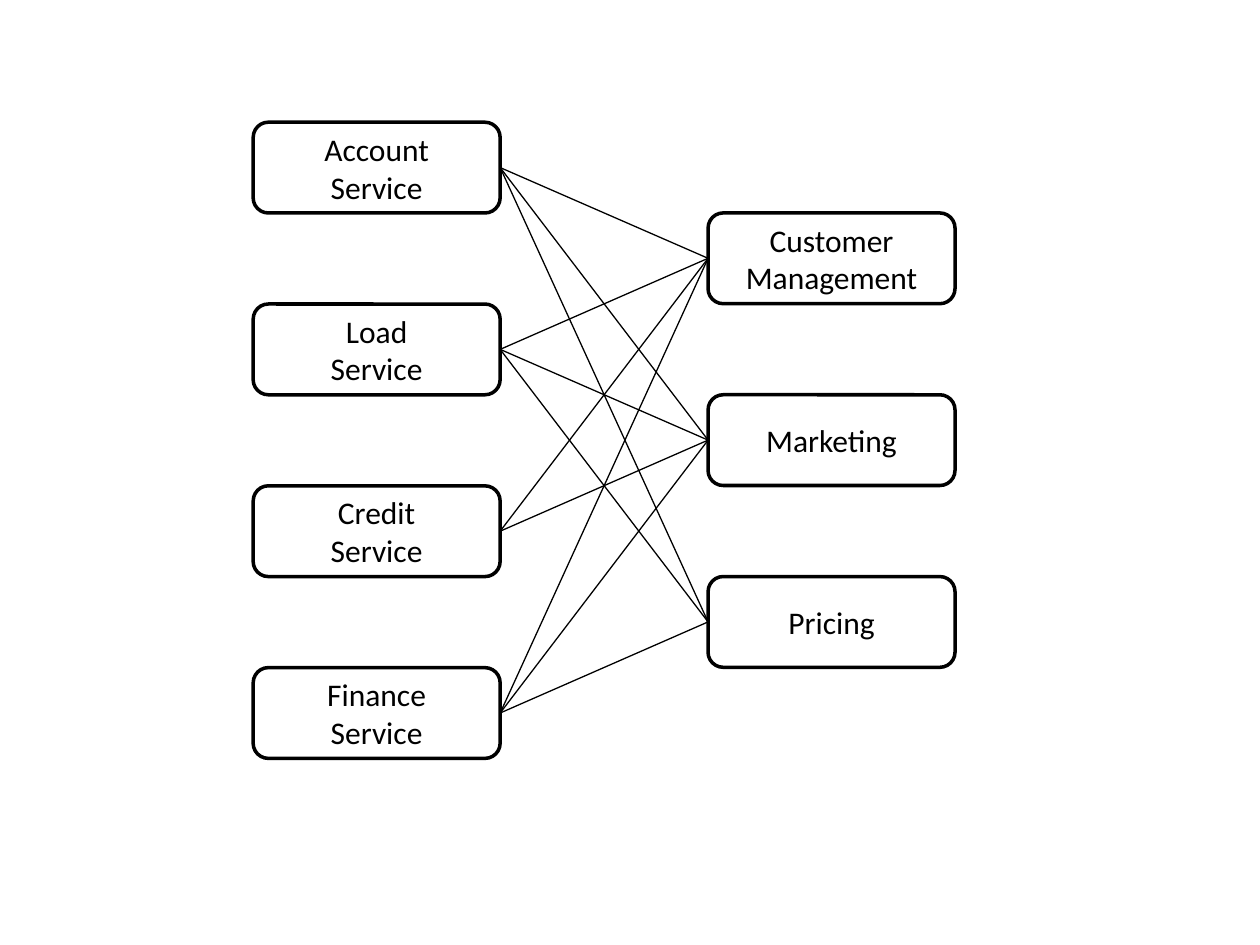
from dataclasses import dataclass

import pptx
import pptx.dml.color
import pptx.enum.shapes
import pptx.enum.text
import pptx.oxml.ns
import pptx.util
from lxml import etree
from pptx.util import Inches

BLACK = pptx.dml.color.RGBColor(0x00, 0x00, 0x00)
WHITE = pptx.dml.color.RGBColor(0xFF, 0xFF, 0xFF)

BOX_WIDTH, BOX_HEIGHT = 1.96, 0.72
ROW_PITCH = 1.443
RIGHT_SIDE, LEFT_SIDE = 3, 1  # connection sites of a box


@dataclass(frozen=True)
class Column:
    left: float
    top: float
    labels: tuple[str, ...]


SERVICES = Column(2.01, 0.97, ("Account\nService", "Load\nService",
                               "Credit\nService", "Finance\nService"))
CONSUMERS = Column(5.62, 1.69, ("Customer\nManagement", "Marketing", "Pricing"))

# For each service, the rows of the consumers it is linked to
LINKS = ((0, 1, 2), (0, 1, 2), (0, 1), (0, 1, 2))


def add_box(slide, left: float, top: float, label: str):
    """Draw one rounded box; each line of the label is a paragraph."""
    box = slide.shapes.add_shape(
        pptx.enum.shapes.MSO_SHAPE.ROUNDED_RECTANGLE,
        Inches(left), Inches(top), Inches(BOX_WIDTH), Inches(BOX_HEIGHT))
    box.shadow.inherit = False
    box.fill.solid()
    box.fill.fore_color.rgb = WHITE
    box.line.color.rgb = BLACK
    box.line.width = pptx.util.Pt(2)
    frame = box.text_frame
    frame.text = label
    frame.vertical_anchor = pptx.enum.text.MSO_ANCHOR.MIDDLE
    for para in frame.paragraphs:
        para.alignment = pptx.enum.text.PP_ALIGN.CENTER
        para.font.name = "Calibri"
        para.font.size = pptx.util.Pt(18)
        para.font.color.rgb = BLACK
    return box


def add_column(slide, column: Column) -> list:
    return [add_box(slide, column.left, column.top + row * ROW_PITCH, label)
            for row, label in enumerate(column.labels)]


def add_link(slide, service, consumer) -> None:
    """Join the right side of a service to the left side of a consumer."""
    link = slide.shapes.add_connector(
        pptx.enum.shapes.MSO_CONNECTOR.STRAIGHT, 0, 0, 0, 0)
    link.begin_connect(service, RIGHT_SIDE)
    link.end_connect(consumer, LEFT_SIDE)
    link.line.color.rgb = BLACK
    link.line.width = pptx.util.Pt(0.75)
    properties = link._element.spPr
    etree.SubElement(properties, pptx.oxml.ns.qn("a:effectLst"))


def main() -> None:
    deck = pptx.Presentation()
    deck.slide_width, deck.slide_height = Inches(10), Inches(7.5)
    slide = deck.slides.add_slide(deck.slide_layouts[6])

    # Boxes
    services = add_column(slide, SERVICES)
    consumers = add_column(slide, CONSUMERS)

    # Links between the two columns
    for service, rows in zip(services, LINKS):
        for row in rows:
            add_link(slide, service, consumers[row])

    deck.save("out.pptx")


if __name__ == "__main__":
    main()
